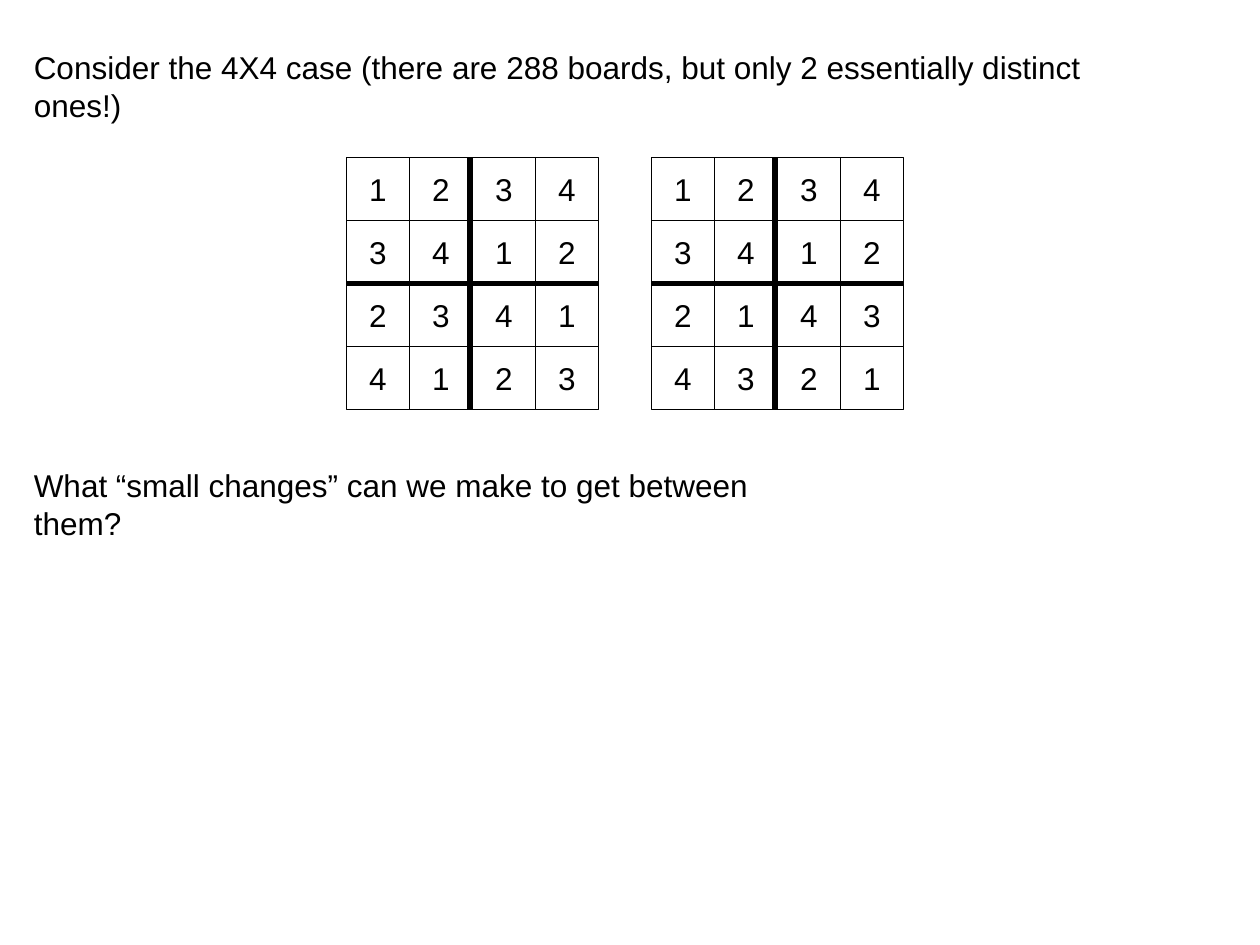
import pptx
import pptx.dml.color
import pptx.enum.shapes
import pptx.enum.text
import pptx.oxml.ns
import pptx.util
from lxml import etree

Inches = pptx.util.Inches
Pt = pptx.util.Pt
BLACK = pptx.dml.color.RGBColor(0x00, 0x00, 0x00)
WHITE = pptx.dml.color.RGBColor(0xFF, 0xFF, 0xFF)

CELL = 0.5
BOARD_TOP = 1.25
DIVIDER_SHIFT = 0.02  # the vertical divider sits slightly left of centre
BOARDS = [
    (2.75, ["1234", "3412", "2341", "4123"]),
    (5.17, ["1234", "3412", "2143", "4321"]),
]


class SlideBuilder:
    """Holds the text style and the current slide."""

    font_name = "Arial"
    font_size = Pt(18)

    def __init__(self, slide):
        self.slide = slide

    def set_text(self, sp, text):
        tf = sp.text_frame
        tf.word_wrap = False
        tf.text = text
        p = tf.paragraphs[0]
        for r in p.runs:
            r.font.name = self.font_name
            r.font.size = self.font_size
            r.font.color.rgb = BLACK
        return tf, p

    def text_box(self, left, top, width, height, text):
        sp = self.slide.shapes.add_textbox(
            Inches(left), Inches(top), Inches(width), Inches(height))
        tf, _ = self.set_text(sp, text)
        tf.auto_size = pptx.enum.text.MSO_AUTO_SIZE.SHAPE_TO_FIT_TEXT

    def cell(self, shapes, left, top, digit):
        sp = shapes.add_shape(
            pptx.enum.shapes.MSO_SHAPE.RECTANGLE,
            Inches(left), Inches(top), Inches(CELL), Inches(CELL))
        sp.shadow.inherit = False
        sp.fill.solid()
        sp.fill.fore_color.rgb = WHITE
        sp.line.color.rgb = BLACK
        sp.line.width = Pt(0.75)
        tf, p = self.set_text(sp, digit)
        tf.vertical_anchor = pptx.enum.text.MSO_ANCHOR.MIDDLE
        p.alignment = pptx.enum.text.PP_ALIGN.CENTER

    def divider(self, shapes, x1, y1, x2, y2):
        line = shapes.add_connector(
            pptx.enum.shapes.MSO_CONNECTOR.STRAIGHT,
            Inches(x1), Inches(y1), Inches(x2), Inches(y2))
        line.line.color.rgb = BLACK
        line.line.width = Pt(3)
        sp_pr = line._element.spPr
        etree.SubElement(sp_pr, pptx.oxml.ns.qn("a:effectLst"))

    def board(self, left, top, rows):
        shapes = self.slide.shapes.add_group_shape().shapes
        for i, row in enumerate(rows):
            for j, digit in enumerate(row):
                self.cell(shapes, left + j * CELL, top + i * CELL, digit)
        # Block dividers
        size = len(rows) * CELL
        mid_x = left + size / 2 - DIVIDER_SHIFT
        mid_y = top + size / 2
        self.divider(shapes, mid_x, top, mid_x, top + size)
        self.divider(shapes, left, mid_y, left + size, mid_y)


def main():
    prs = pptx.Presentation()
    prs.slide_width = Inches(10)
    prs.slide_height = Inches(7.5)
    s = SlideBuilder(prs.slides.add_slide(prs.slide_layouts[6]))

    # Statement
    s.text_box(0.17, 0.33, 9.27, 0.4,
               "Consider the 4X4 case (there are 288 boards, "
               "but only 2 essentially distinct ones!)")

    # The two boards
    for left, rows in BOARDS:
        s.board(left, BOARD_TOP, rows)

    # Question
    s.text_box(0.17, 3.65, 6.63, 0.4,
               "What “small changes” can we make to get between them?")

    prs.save("out.pptx")


if __name__ == "__main__":
    main()
